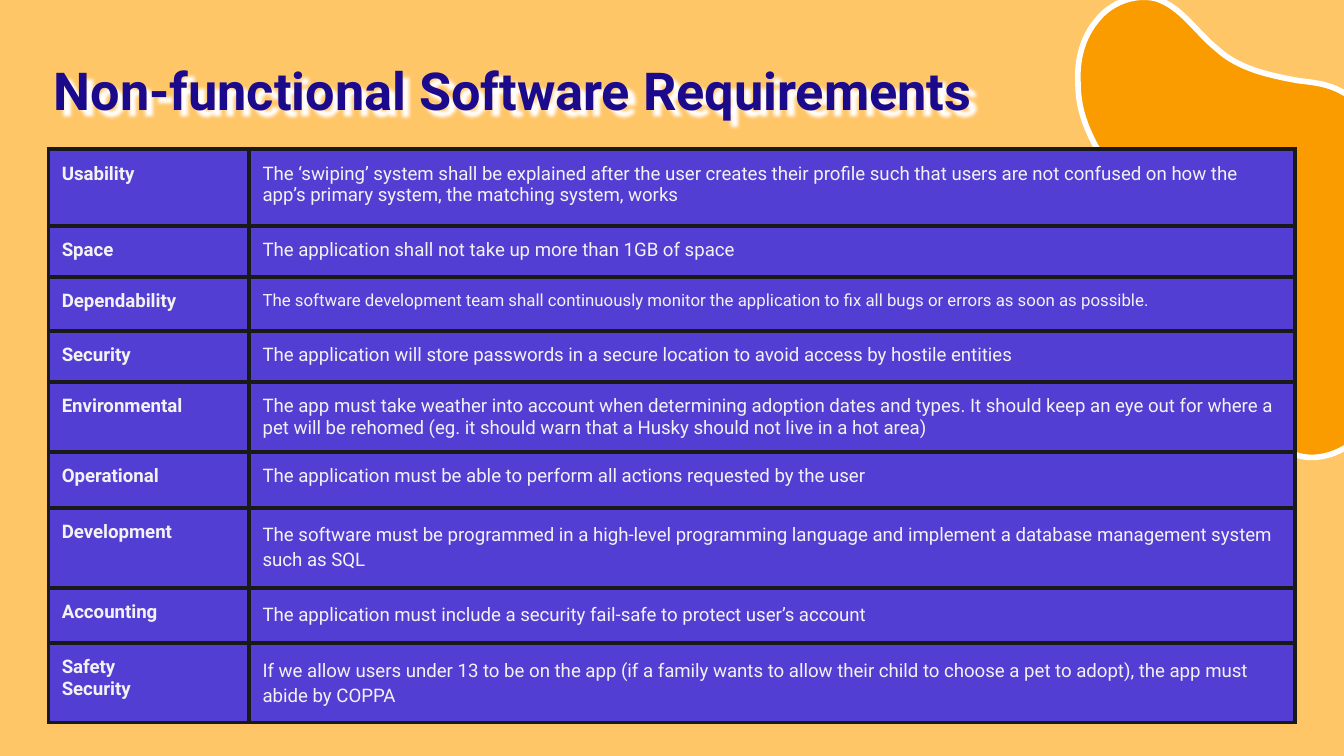
from math import cos, radians, sin

from lxml import etree
from pptx import Presentation
from pptx.dml.color import RGBColor
from pptx.enum.text import MSO_ANCHOR, MSO_AUTO_SIZE, PP_ALIGN
from pptx.oxml.ns import qn
from pptx.util import Pt

LEFT, TOP, NO_AUTOFIT = PP_ALIGN.LEFT, MSO_ANCHOR.TOP, MSO_AUTO_SIZE.NONE

TITLE = "Non-functional Software Requirements"

# Paragraph styles: space after in points, line spacing
SPACED, PLAIN, LOOSE = (16, 1.0), (0, 1.0), (0, 1.15)

# Row height, label lines, label style, description, description style, description size
REQUIREMENTS = [
    (41, ["Usability"], SPACED,
     "The ‘swiping’ system shall be explained after the user creates their profile such that "
     "users are not confused on how the app’s primary system, the matching system, works",
     SPACED, "body"),
    (27.4, ["Space"], SPACED,
     "The application shall not take up more than 1GB of space", SPACED, "body"),
    (28.8, ["Dependability"], SPACED,
     "The software development team shall continuously monitor the application to fix all bugs "
     "or errors as soon as possible.", SPACED, "small"),
    (27.4, ["Security"], PLAIN,
     "The application will store passwords in a secure location to avoid access by hostile "
     "entities", PLAIN, "body"),
    (36, ["Environmental"], SPACED,
     "The app must take weather into account when determining adoption dates and types. It "
     "should keep an eye out for where a pet will be rehomed (eg. it should warn that a Husky "
     "should not live in a hot area)", PLAIN, "body"),
    (29.8, ["Operational"], SPACED,
     "The application must be able to perform all actions requested by the user",
     SPACED, "body"),
    (42.8, ["Development"], SPACED,
     "The software must be programmed in a high-level programming language and implement a "
     "database management system such as SQL", LOOSE, "body"),
    (29.8, ["Accounting"], SPACED,
     "The application must include a security fail-safe to protect user’s account",
     LOOSE, "body"),
    (42.5, ["Safety", "Security"], PLAIN,
     "If we allow users under 13 to be on the app (if a family wants to allow their child to "
     "choose a pet to adopt), the app must abide by COPPA", LOOSE, "body"),
]

# Blob outline in inches: start, then cubic curves (control, control, end)
BLOB_START = (10.43, 1.17)
BLOB_CURVES = [
    (10.37, 1.04, 10.25, 0.94, 10.15, 0.85), (10.08, 0.79, 10.01, 0.73, 9.92, 0.69),
    (9.83, 0.65, 9.73, 0.64, 9.64, 0.63), (9.42, 0.59, 9.19, 0.54, 9.03, 0.39),
    (8.88, 0.27, 8.77, 0.08, 8.58, 0.02), (8.42, -0.02, 8.24, 0.05, 8.14, 0.18),
    (8.03, 0.31, 7.99, 0.48, 8, 0.65), (8, 0.78, 8.03, 0.9, 8.08, 1.01),
    (8.11, 1.08, 8.14, 1.14, 8.19, 1.2), (8.38, 1.48, 8.7, 1.63, 8.93, 1.88),
    (9.04, 2, 9.13, 2.13, 9.19, 2.27), (9.24, 2.38, 9.27, 2.5, 9.29, 2.62),
    (9.31, 2.76, 9.31, 2.9, 9.34, 3.04), (9.35, 3.09, 9.36, 3.13, 9.38, 3.17),
    (9.42, 3.26, 9.48, 3.34, 9.57, 3.39), (9.71, 3.47, 9.89, 3.43, 10.02, 3.34),
    (10.14, 3.24, 10.21, 3.08, 10.23, 2.93), (10.26, 2.77, 10.24, 2.61, 10.21, 2.46),
    (10.19, 2.36, 10.17, 2.26, 10.18, 2.16), (10.19, 1.99, 10.28, 1.85, 10.36, 1.7),
    (10.44, 1.56, 10.48, 1.41, 10.46, 1.25), (10.45, 1.22, 10.44, 1.2, 10.43, 1.17),
]
BLOB_CENTER, BLOB_ROTATION = (9.46, 1.56), 66.6

THEME = {
    "font": "Roboto",
    "sizes": {"title": 28, "body": 10, "small": 9},
    "colors": {"background": "FFC668", "blob": "FA9B00", "white": "FFFFFF",
               "title": "1C0A8D", "cell": "523ED3", "text": "F2F2F2", "border": "191919"},
}
INSET = Pt(7.2)
COLUMN_WIDTHS = (107.6, 560.4)


def color(name):
    return RGBColor.from_string(THEME["colors"][name])


def add_run(paragraph, text, size, color_name, bold):
    run = paragraph.add_run()
    run.text = text
    run.font.name = THEME["font"]
    run.font.size = Pt(THEME["sizes"][size])
    run.font.bold = bold
    run.font.color.rgb = color(color_name)


def set_insets(target):
    target.margin_left = target.margin_right = INSET
    target.margin_top = target.margin_bottom = INSET


def add_color(parent, name):
    etree.SubElement(parent, qn("a:srgbClr"), val=THEME["colors"][name])


def unrotated(x, y):
    """Turn a slide point in inches back to the blob's upright frame, in EMU."""
    angle = radians(BLOB_ROTATION)
    dx, dy = x - BLOB_CENTER[0], y - BLOB_CENTER[1]
    return (Pt(72 * (BLOB_CENTER[0] + dx * cos(angle) + dy * sin(angle))),
            Pt(72 * (BLOB_CENTER[1] - dx * sin(angle) + dy * cos(angle))))


def add_blob(slide):
    start = unrotated(*BLOB_START)
    curves = [[unrotated(*curve[i:i + 2]) for i in (0, 2, 4)] for curve in BLOB_CURVES]
    builder = slide.shapes.build_freeform(*start)
    builder.add_line_segments([curve[-1] for curve in curves], close=True)
    blob = builder.convert_to_shape()
    # Bend each straight segment into its cubic curve
    lines = list(blob.element.iter(qn("a:lnTo")))
    for line, curve in zip(lines, curves):
        line.tag = qn("a:cubicBezTo")
        line.clear()
        for x, y in curve:
            etree.SubElement(line, qn("a:pt"), x=str(x - blob.left), y=str(y - blob.top))
    blob.rotation = BLOB_ROTATION
    blob.shadow.inherit = False
    blob.fill.solid()
    blob.fill.fore_color.rgb = color("blob")
    blob.line.color.rgb = color("white")
    blob.line.width = Pt(3)


def format_title(title):
    title.left, title.top, title.width, title.height = Pt(21.6), Pt(23.8), Pt(661.7), Pt(44.6)
    frame = title.text_frame
    set_insets(frame)
    frame.word_wrap = True
    frame.auto_size = NO_AUTOFIT
    frame.vertical_anchor = TOP
    paragraph = frame.paragraphs[0]
    paragraph.alignment = LEFT
    add_run(paragraph, TITLE, "title", "title", True)
    effects = etree.SubElement(title.element.spPr, qn("a:effectLst"))
    shadow = etree.SubElement(effects, qn("a:outerShdw"), blurRad=str(Pt(0.5)),
                              dist=str(Pt(4)), dir=str(40 * 60000), algn="bl",
                              rotWithShape="0")
    add_color(shadow, "white")


def set_borders(cell):
    properties = cell._tc.get_or_add_tcPr()
    for index, side in enumerate(("a:lnL", "a:lnR", "a:lnT", "a:lnB")):
        line = etree.Element(qn(side), w=str(Pt(2.25)))
        add_color(etree.SubElement(line, qn("a:solidFill")), "border")
        properties.insert(index, line)


def fill_cell(cell, lines, style, size, bold):
    cell.fill.solid()
    cell.fill.fore_color.rgb = color("cell")
    set_borders(cell)
    set_insets(cell)
    cell.vertical_anchor = TOP
    space_after, line_spacing = style
    frame = cell.text_frame
    for index, text in enumerate(lines):
        paragraph = frame.add_paragraph() if index else frame.paragraphs[0]
        paragraph.alignment = LEFT
        paragraph.space_after = Pt(space_after)
        paragraph.line_spacing = line_spacing
        add_run(paragraph, text, size, "text", bold)


def add_requirements(slide):
    table = slide.shapes.add_table(
        len(REQUIREMENTS), len(COLUMN_WIDTHS), Pt(25.9), Pt(80),
        Pt(sum(COLUMN_WIDTHS)), Pt(sum(row[0] for row in REQUIREMENTS))).table
    table.first_row = table.horz_banding = False
    for column, width in zip(table.columns, COLUMN_WIDTHS):
        column.width = Pt(width)
    for index, requirement in enumerate(REQUIREMENTS):
        height, label, label_style, description, description_style, size = requirement
        table.rows[index].height = Pt(height)
        fill_cell(table.cell(index, 0), label, label_style, "body", True)
        fill_cell(table.cell(index, 1), [description], description_style, size, False)


def main():
    presentation = Presentation()
    presentation.slide_width, presentation.slide_height = Pt(720), Pt(405)
    slide = presentation.slides.add_slide(presentation.slide_layouts[5])
    slide.background.fill.solid()
    slide.background.fill.fore_color.rgb = color("background")
    add_blob(slide)
    format_title(slide.shapes.title)
    add_requirements(slide)
    presentation.save("out.pptx")


if __name__ == "__main__":
    main()
